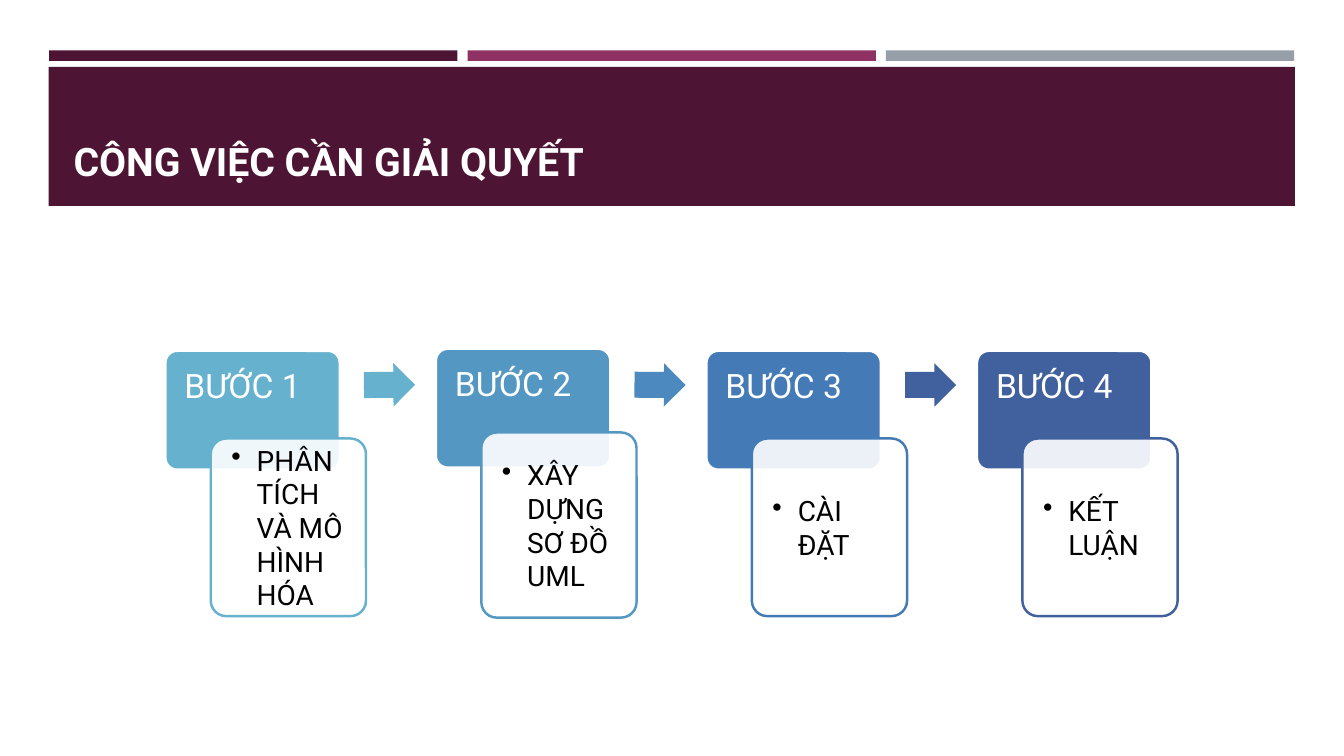
import pptx
import pptx.util
import pptx.dml.color
import pptx.enum.shapes
import pptx.enum.text
import pptx.oxml.ns
import lxml.etree

RGBColor = pptx.dml.color.RGBColor
MSO_SHAPE = pptx.enum.shapes.MSO_SHAPE
MSO_ANCHOR = pptx.enum.text.MSO_ANCHOR
Pt = pptx.util.Pt
qn = pptx.oxml.ns.qn

WHITE = RGBColor(0xFF, 0xFF, 0xFF)
BLACK = RGBColor(0x00, 0x00, 0x00)
PLUM = RGBColor(0x4D, 0x14, 0x34)
MAGENTA = RGBColor(0x90, 0x31, 0x63)
GRAY = RGBColor(0x96, 0x9F, 0xA7)
SKY = RGBColor(0x66, 0xB1, 0xCE)
AZURE = RGBColor(0x54, 0x97, 0xC3)
STEEL = RGBColor(0x4B, 0x89, 0xBE)
COBALT = RGBColor(0x44, 0x7A, 0xB6)
NAVY = RGBColor(0x40, 0x61, 0x9D)


class Deck:
    """Draws styled elements on a slide, with lengths in percent of its size."""

    font = "Roboto"
    outline = Pt(1.75)

    def __init__(self, prs):
        self.prs = prs
        self.s = prs.slides.add_slide(prs.slide_layouts[5])

    def x(self, share):
        return round(self.prs.slide_width * share / 100)

    def y(self, share):
        return round(self.prs.slide_height * share / 100)

    def shape(self, kind, left, top, width, height, fill, line=None):
        sp = self.s.shapes.add_shape(
            kind, self.x(left), self.y(top), self.x(width), self.y(height))
        sp.shadow.inherit = False
        sp.fill.solid()
        sp.fill.fore_color.rgb = fill
        if line is None:
            sp.line.fill.background()
        else:
            sp.line.color.rgb = line
            sp.line.width = self.outline
        return sp

    def text(self, sp, words, size, color, anchor, bold=False):
        tf = sp.text_frame
        tf.word_wrap = True
        tf.vertical_anchor = anchor
        tf.text = words
        p = tf.paragraphs[0]
        p.alignment = pptx.enum.text.PP_ALIGN.LEFT
        p.font.name = self.font
        p.font.size = Pt(size)
        p.font.bold = bold
        p.font.color.rgb = color
        return p

    def inset(self, sp, share):
        tf = sp.text_frame
        tf.margin_left = tf.margin_right = self.x(share)
        tf.margin_top = tf.margin_bottom = self.x(share)

    def title(self, words, left, top, width, height):
        sp = self.s.shapes.title
        sp.left, sp.top = self.x(left), self.y(top)
        sp.width, sp.height = self.x(width), self.y(height)
        self.text(sp, words, 28, WHITE, MSO_ANCHOR.BOTTOM, bold=True)
        self.s.shapes._spTree.append(sp._element)

    def header(self, words, left, top, fill):
        sp = self.shape(MSO_SHAPE.ROUNDED_RECTANGLE, left, top, 12.98, 15.73, fill, WHITE)
        sp.adjustments[0] = 0.1
        self.inset(sp, 1.16)
        self.text(sp, words, 24, WHITE, MSO_ANCHOR.TOP).line_spacing = 0.9

    def card(self, words, left, top, height, line):
        sp = self.shape(MSO_SHAPE.ROUNDED_RECTANGLE, left, top, 11.55, height, WHITE, line)
        sp.adjustments[0] = 0.1
        color = sp._element.spPr.find(qn("a:solidFill"))[0]
        lxml.etree.SubElement(color, qn("a:alpha"), val="90000")
        self.inset(sp, 1.2)
        p = self.text(sp, words, 20, BLACK, MSO_ANCHOR.MIDDLE)
        pPr = p._p.get_or_add_pPr()
        indent = self.x(1.88)
        pPr.set("marL", str(indent))
        pPr.set("indent", str(-indent))
        bullet = lxml.etree.Element(qn("a:buChar"), char="•")
        pPr.insert_element_before(bullet, "a:tabLst", "a:defRPr", "a:extLst")

    def arrow(self, left, top, fill, rotation):
        sp = self.shape(MSO_SHAPE.RIGHT_ARROW, left, top, 3.8, 5.73, fill)
        sp.adjustments[0] = 0.6
        sp.adjustments[1] = 0.5
        sp.rotation = rotation


def main():
    prs = pptx.Presentation()
    prs.slide_width = pptx.util.Inches(13.33)
    prs.slide_height = pptx.util.Inches(7.5)
    deck = Deck(prs)

    for i, color in enumerate((PLUM, MAGENTA, GRAY)):
        deck.shape(MSO_SHAPE.RECTANGLE, 3.66 + 31.13 * i, 6.67, 30.38, 1.4, color)
    deck.shape(MSO_SHAPE.RECTANGLE, 3.62, 8.85, 92.72, 18.4, PLUM)
    deck.title("CÔNG VIỆC CẦN GIẢI QUYẾT", 4.72, 10.67, 90.47, 14.4)

    steps = (
        ("PHÂN TÍCH VÀ MÔ HÌNH HÓA", SKY, 46.4, 58, 23.5),
        ("XÂY DỰNG SƠ ĐỒ UML", AZURE, 46.13, 57.2, 24.5),
        ("CÀI ĐẶT", COBALT, 46.4, 58, 23.5),
        ("KẾT LUẬN", NAVY, 46.4, 58, 23.5),
    )
    arrows = ((SKY, 359.6), (STEEL, 0.4), (NAVY, 0))
    for i, (words, color, header_top, card_top, card_height) in enumerate(steps):
        left = 12.3 + 20.13 * i
        deck.header(f"BƯỚC {i + 1}", left, header_top, color)
        deck.card(words, left + 3.38, card_top, card_height, color)
        if i < len(arrows):
            deck.arrow(left + 14.78, 48.05, *arrows[i])

    prs.save("out.pptx")


if __name__ == "__main__":
    main()
